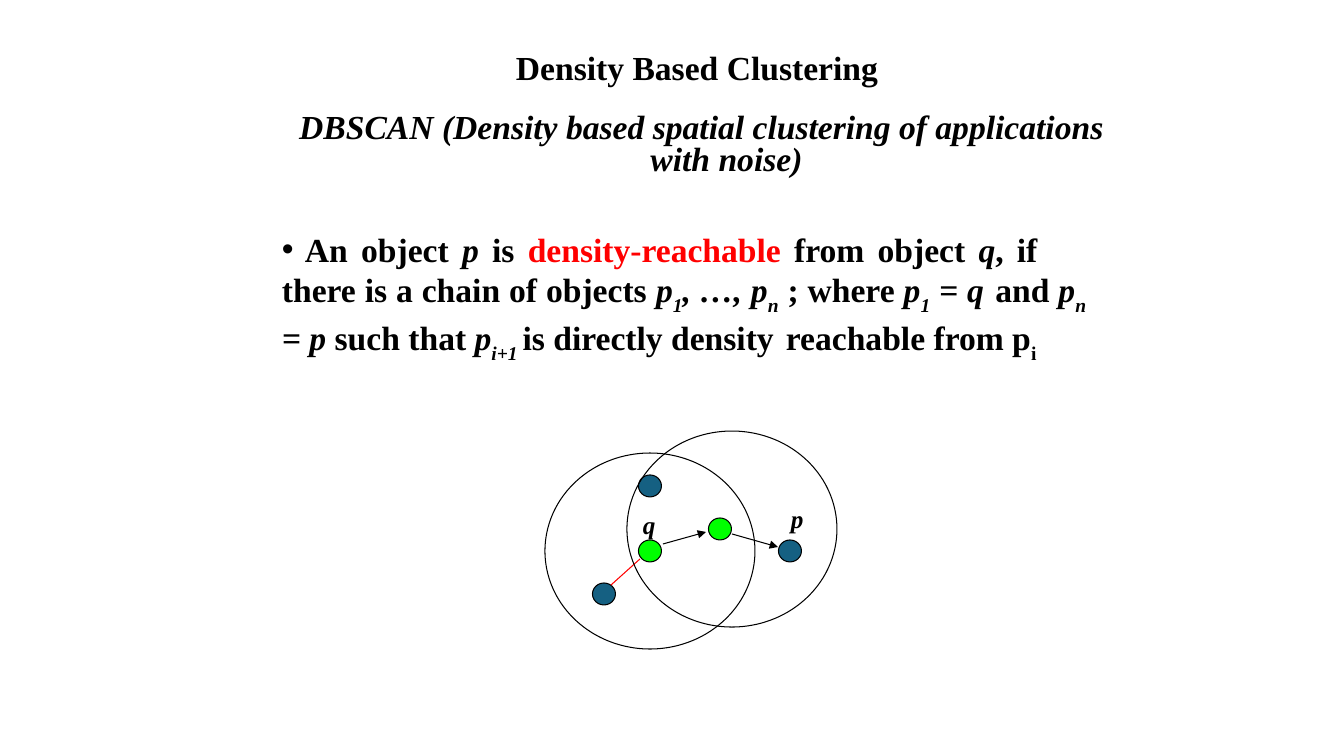
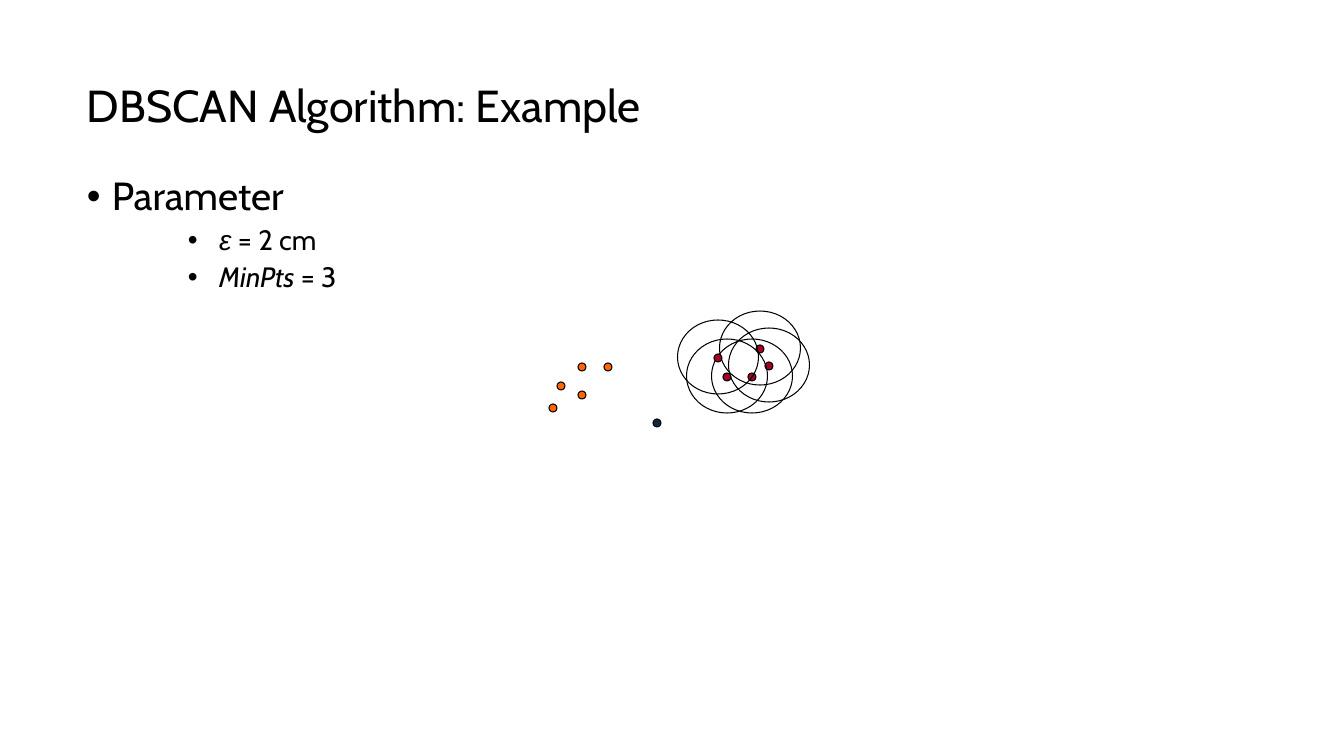
from lxml import etree
from pptx import Presentation
from pptx.dml.color import RGBColor
from pptx.enum.shapes import MSO_CONNECTOR, MSO_SHAPE
from pptx.enum.text import MSO_ANCHOR, PP_ALIGN
from pptx.oxml.ns import qn
from pptx.util import Pt

PX = 914400 / 100.8
OVAL = MSO_SHAPE.OVAL
STRAIGHT = MSO_CONNECTOR.STRAIGHT
TOP, MIDDLE = MSO_ANCHOR.TOP, MSO_ANCHOR.MIDDLE
LEFT, CENTER, JUSTIFY = PP_ALIGN.LEFT, PP_ALIGN.CENTER, PP_ALIGN.JUSTIFY

BLACK, RED = "000000", "FF0000"
GREEN, BLUE = "00FF00", "156082"
ORANGE, MAROON, NAVY = "FF6600", "A50021", "0E2841"
SERIF, SANS, SYMBOL = "Times New Roman", "Cabin", "Arial"

color = RGBColor.from_string


def add_text(slide, box, runs, frame=None, size=24, font=SERIF, bold=True,
             italic=False, align=LEFT, anchor=TOP, line_spacing=None,
             before=0, margin=0, indent=0, bullet=False):
    if frame is None:
        frame = slide.shapes.add_textbox(*[round(v * PX) for v in box]).text_frame
        frame.word_wrap = True
        frame.vertical_anchor = anchor
        paragraph = frame.paragraphs[0]
    else:
        paragraph = frame.add_paragraph()
    paragraph.alignment = align
    paragraph.space_before = Pt(before)
    if line_spacing:
        paragraph.line_spacing = line_spacing
    properties = paragraph._p.get_or_add_pPr()
    properties.set("marL", str(round(margin * PX)))
    properties.set("indent", str(round(indent * PX)))
    if bullet:
        etree.SubElement(properties, qn("a:buFont")).set("typeface", SYMBOL)
        etree.SubElement(properties, qn("a:buChar")).set("char", "•")
    for text, style in [(runs, {})] if isinstance(runs, str) else runs:
        run = paragraph.add_run()
        run.text = text
        run.font.size = Pt(size)
        run.font.name = style.get("font", font)
        run.font.bold = bold
        run.font.italic = style.get("italic", italic)
        run.font.color.rgb = color(style.get("color", BLACK))
        if "baseline" in style:
            run._r.get_or_add_rPr().set("baseline", style["baseline"])
    return frame


def add_ellipse(slide, center, size, fill=None):
    (x, y), (width, height) = center, size
    ellipse = slide.shapes.add_shape(
        OVAL, *[round(v * PX) for v in (x - width / 2, y - height / 2, width, height)])
    ellipse.shadow.inherit = False
    ellipse.line.color.rgb = color(BLACK)
    ellipse.line.width = Pt(0.75)
    if fill:
        ellipse.fill.solid()
        ellipse.fill.fore_color.rgb = color(fill)
    else:
        ellipse.fill.background()


deck = Presentation()
deck.slide_width, deck.slide_height = round(1344 * PX), round(756 * PX)
blank = deck.slide_layouts[6]

PLAIN = {}
ITALIC = {"italic": True}
SUB = {"italic": True, "baseline": "-30000"}

reachability = deck.slides.add_slide(blank)
add_text(reachability, (272, 224, 824, 173), [
    (" An object ", PLAIN), ("p", ITALIC), (" is ", PLAIN),
    ("density-reachable", {"color": RED}),
    (" from object ", PLAIN), ("q", ITALIC),
    (", if \tthere is a chain of objects ", PLAIN),
    ("p", ITALIC), ("1", SUB), (", …, p", ITALIC), ("n", SUB),
    (" ; where ", PLAIN), ("p", ITALIC), ("1", SUB), (" = q \t", ITALIC),
    ("and ", PLAIN), ("p", ITALIC), ("n", SUB), (" = p ", ITALIC),
    ("such that ", PLAIN), ("p", ITALIC), ("i+1 ", SUB),
    ("is directly density \treachable from p", PLAIN),
    ("i", {"baseline": "-30000"}),
], align=JUSTIFY, bullet=True)
add_text(reachability, (277, 109, 849, 50),
         "DBSCAN (Density based spatial clustering of applications with noise)",
         italic=True, align=CENTER, line_spacing=0.8, before=4.8, margin=50, indent=-50)
add_text(reachability, (252, 42, 890, 50), "Density Based Clustering", align=CENTER)

q_point, middle_point, p_point = (650, 551), (720, 529), (790, 551)
for point, fill in [(q_point, GREEN), ((604, 594), BLUE), (middle_point, GREEN),
                    ((650, 486), BLUE), (p_point, BLUE)]:
    add_ellipse(reachability, point, (23, 22), fill)

for ends, stroke, arrow in [((663, 544, 706, 532), BLACK, True),
                            ((732, 534, 778, 547), BLACK, True),
                            ((640, 559, 611, 585), RED, False)]:
    link = reachability.shapes.add_connector(STRAIGHT, *[round(v * PX) for v in ends])
    link.line.color.rgb = color(stroke)
    link.line.width = Pt(0.75)
    if arrow:
        etree.SubElement(link.line._get_or_add_ln(), qn("a:tailEnd")).set("type", "triangle")
    etree.SubElement(link._element.spPr, qn("a:effectLst"))

for center in [q_point, (732, 529)]:
    add_ellipse(reachability, center, (210, 196))
for label, left, top in [("q", 633, 504), ("p", 781, 498)]:
    add_text(reachability, (left, top, 34, 40), label, size=18, italic=True)

example = deck.slides.add_slide(blank)
add_text(example, (77, 28, 899, 159), "DBSCAN Algorithm: Example",
         size=32, font=SANS, bold=False, anchor=MIDDLE, line_spacing=0.9)
parameters = add_text(example, (77, 172, 857, 454), "Parameter", size=28, font=SANS,
                      bold=False, line_spacing=0.9, before=10,
                      margin=25, indent=-25, bullet=True)
for symbol, style, value in [("ε", {"italic": True, "font": SYMBOL}, " = 2 cm"),
                             ("MinPts", ITALIC, " = 3")]:
    add_text(example, None, [(" ", PLAIN), (symbol, style), (value, PLAIN)],
             frame=parameters, size=20, font=SANS, bold=False, line_spacing=0.9,
             before=5, margin=126, indent=-25, bullet=True)

POINT = (8, 8)
for center in [(553, 408), (582, 367), (608, 367), (561, 386), (582, 395)]:
    add_ellipse(example, center, POINT, ORANGE)
add_ellipse(example, (657, 423), POINT, NAVY)
for x, y in [(769, 366), (760, 349), (752, 377), (727, 377), (718, 358)]:
    add_ellipse(example, (x, y - 1), (81, 74))
    add_ellipse(example, (x, y), POINT, MAROON)

deck.save("out.pptx")
